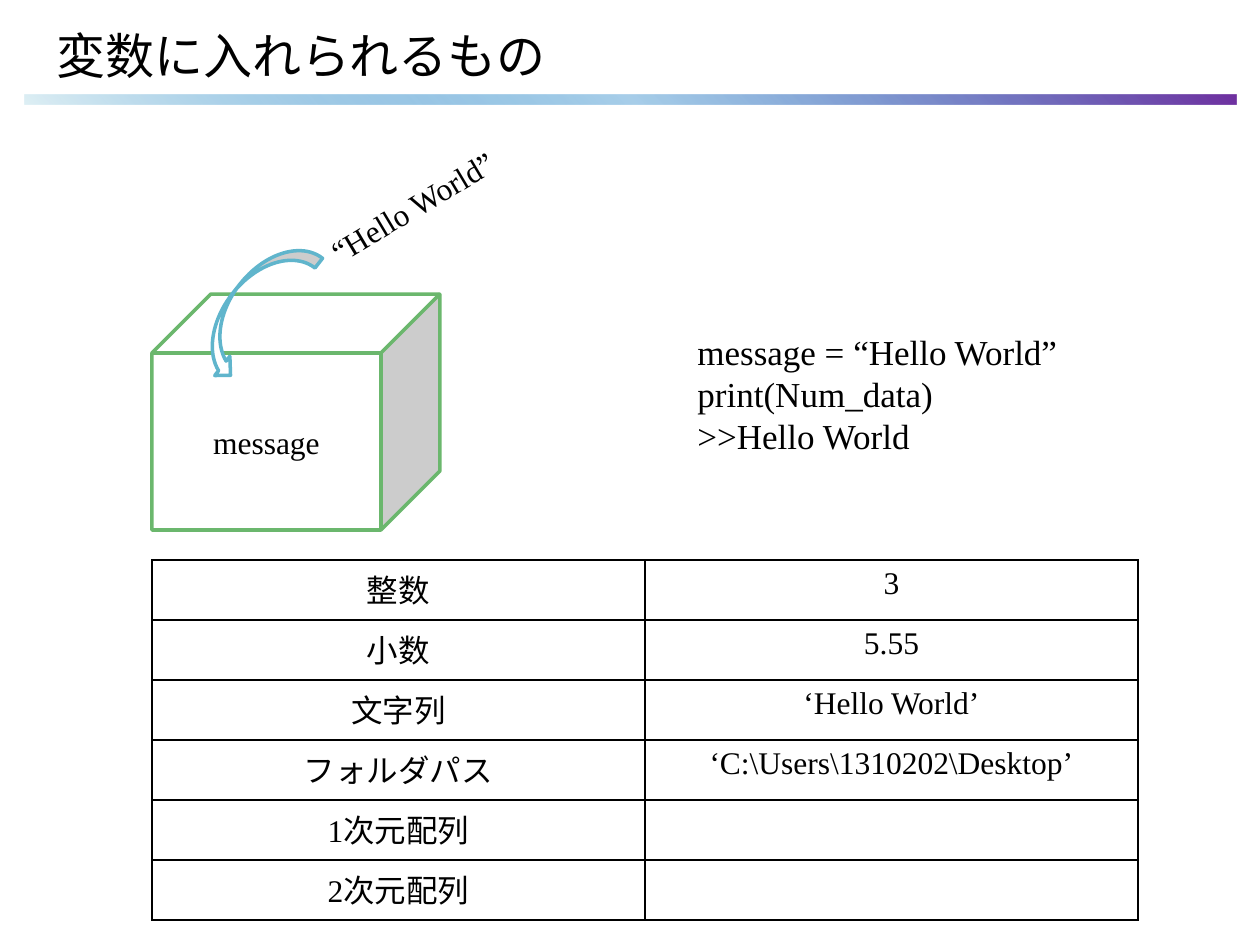
from lxml.etree import SubElement
from pptx import Presentation
from pptx.dml.color import RGBColor
from pptx.enum.shapes import MSO_SHAPE as Shape
from pptx.enum.text import MSO_ANCHOR as Anchor, PP_ALIGN as Align
from pptx.oxml import parse_xml
from pptx.oxml.ns import nsdecls, qn
from pptx.util import Pt

EMU_PER_PX = 914400 / 126
FONT = "Times New Roman"
BLACK = RGBColor(0x00, 0x00, 0x00)
WHITE = RGBColor(0xFF, 0xFF, 0xFF)
GREEN = RGBColor(0x6B, 0xB7, 0x6D)
TEAL = RGBColor(0x60, 0xB5, 0xCC)
PALE_BLUE = RGBColor(0xDF, 0xF0, 0xF5)
BLUE = RGBColor(0x00, 0x70, 0xC0)
PURPLE = RGBColor(0x70, 0x30, 0xA0)

# position in percent, colour, opacity in percent
BAR_STOPS = [(0, PALE_BLUE, 100), (50, BLUE, 34), (100, PURPLE, 100)]
CODE = ["message = “Hello World”", "print(Num_data)", ">>Hello World"]
VALUE_KINDS = [
    ("整数", "3"),
    ("小数", "5.55"),
    ("文字列", "‘Hello World’"),
    ("フォルダパス", "‘C:\\Users\\1310202\\Desktop’"),
    ("1次元配列", ""),
    ("2次元配列", ""),
]


def px(*lengths):
    """Turn pixel lengths into EMU."""
    return [round(length * EMU_PER_PX) for length in lengths]


def write(frame, lines, size, align=Align.LEFT, anchor=Anchor.TOP, wrap=True):
    """Fill a text frame with one paragraph per line."""
    frame.word_wrap = wrap
    frame.vertical_anchor = anchor
    for index, line in enumerate(lines):
        paragraph = frame.paragraphs[0] if index == 0 else frame.add_paragraph()
        paragraph.alignment = align
        run = paragraph.add_run()
        run.text = line
        run.font.size = Pt(size)
        run.font.name = FONT
        run.font.color.rgb = BLACK


def add_outlined(shapes, preset, box, line_color):
    """Add a white preset shape with a coloured outline."""
    shape = shapes.add_shape(preset, *px(*box))
    shape.shadow.inherit = False
    shape.fill.solid()
    shape.fill.fore_color.rgb = WHITE
    shape.line.color.rgb = line_color
    shape.line.width = Pt(2)
    return shape


def fill_gradient(shape, stops, angle):
    """Give a shape a linear gradient with opacity at each stop."""
    stop_xml = "".join(
        f'<a:gs pos="{position * 1000}"><a:srgbClr val="{color}">'
        f'<a:alpha val="{opacity * 1000}"/></a:srgbClr></a:gs>'
        for position, color, opacity in stops
    )
    gradient = parse_xml(
        f'<a:gradFill {nsdecls("a")} rotWithShape="1"><a:gsLst>{stop_xml}</a:gsLst>'
        f'<a:lin ang="{angle * 60000}" scaled="1"/></a:gradFill>'
    )
    shape.element.spPr.find(qn("a:prstGeom")).addnext(gradient)


def add_header(slide, left, top, width):
    """Place the title above its gradient bar."""
    bar = slide.shapes.add_shape(Shape.RECTANGLE, *px(left, top + 79, width, 10))
    bar.shadow.inherit = False
    bar.line.fill.background()
    fill_gradient(bar, BAR_STOPS, 315)
    title = slide.shapes.add_textbox(*px(left + 19, top, width - 58, 77))
    write(title.text_frame, ["変数に入れられるもの"], 28, anchor=Anchor.MIDDLE)


def add_variable_box(slide, left, top):
    """Draw the value dropping into the box named after the variable."""
    shapes = slide.shapes.add_group_shape().shapes
    cube = add_outlined(shapes, Shape.CUBE, (left, top + 131, 288, 236), GREEN)
    write(cube.text_frame, ["message"], 18, Align.CENTER, Anchor.MIDDLE)
    value = shapes.add_textbox(*px(left + 151, top, 280, 50))
    value.rotation = 329.1
    write(value.text_frame, ["“Hello World”"], 18)
    arrow = add_outlined(
        shapes, Shape.CURVED_RIGHT_ARROW, (left + 77, top + 63, 49, 161), TEAL
    )
    arrow.rotation = 38.2


def add_code(slide, left, top, width, height):
    """Place the code sample and its output."""
    code = slide.shapes.add_textbox(*px(left, top, width, height))
    write(code.text_frame, CODE, 20, wrap=False)


def add_borders(cell):
    """Draw a thin black border on all four sides of a cell."""
    properties = cell._tc.get_or_add_tcPr()
    for index, side in enumerate(("lnL", "lnR", "lnT", "lnB")):
        border = parse_xml(
            f'<a:{side} {nsdecls("a")} w="{Pt(1)}"><a:solidFill/></a:{side}>'
        )
        SubElement(border[0], qn("a:srgbClr"), val=str(BLACK))
        properties.insert(index, border)


def add_value_table(slide, left, top, width, height):
    """Place the table of value kinds and their examples."""
    table = slide.shapes.add_table(
        len(VALUE_KINDS), 2, *px(left, top, width, height)
    ).table
    table.first_row = False
    table.horz_banding = False
    for row, texts in enumerate(VALUE_KINDS):
        for column, text in enumerate(texts):
            cell = table.cell(row, column)
            cell.fill.background()
            add_borders(cell)
            if text:
                write(cell.text_frame, [text], 18, Align.CENTER)


def main():
    """Build and save the slide."""
    deck = Presentation()
    deck.slide_width, deck.slide_height = px(1260, 945)
    slide = deck.slides.add_slide(deck.slide_layouts[6])
    add_header(slide, 25, 16, 1211)
    add_variable_box(slide, 152, 163)
    add_code(slide, 685, 324, 388, 224)
    add_value_table(slide, 152, 560, 986, 360)
    deck.save("out.pptx")


main()
